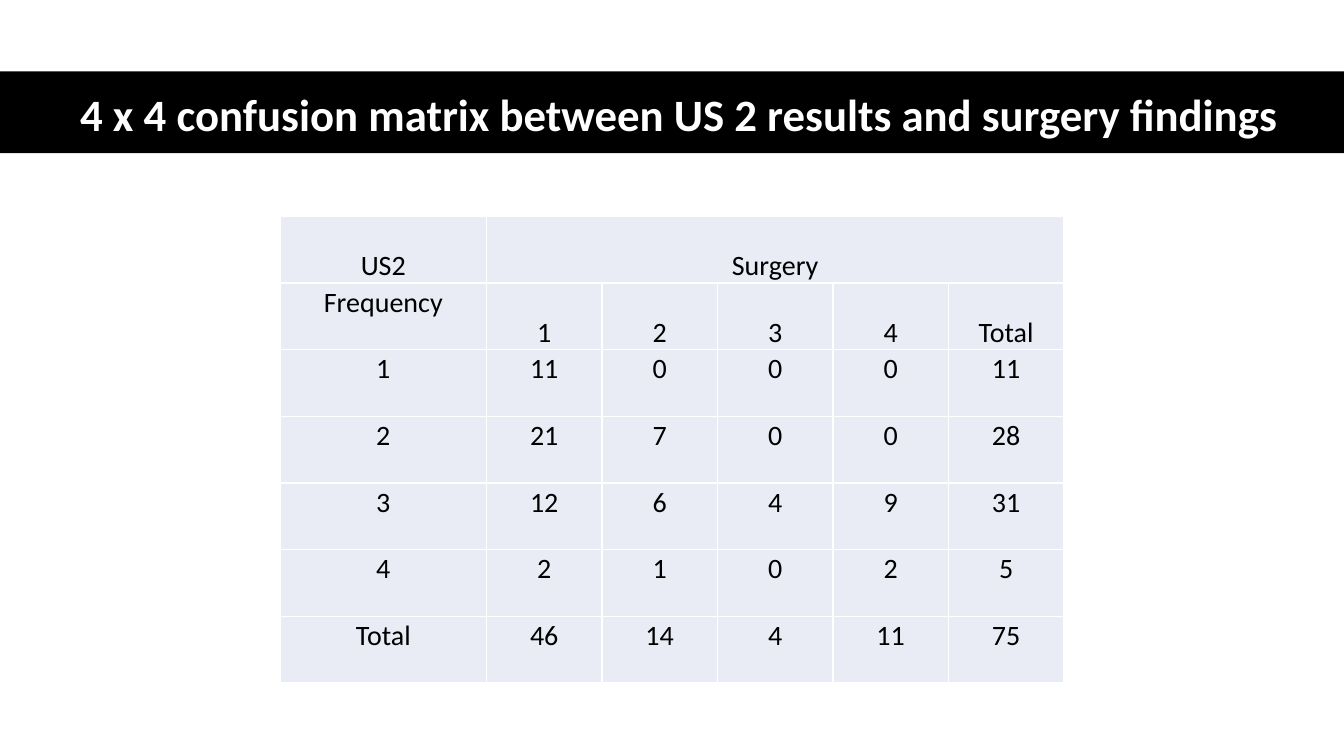
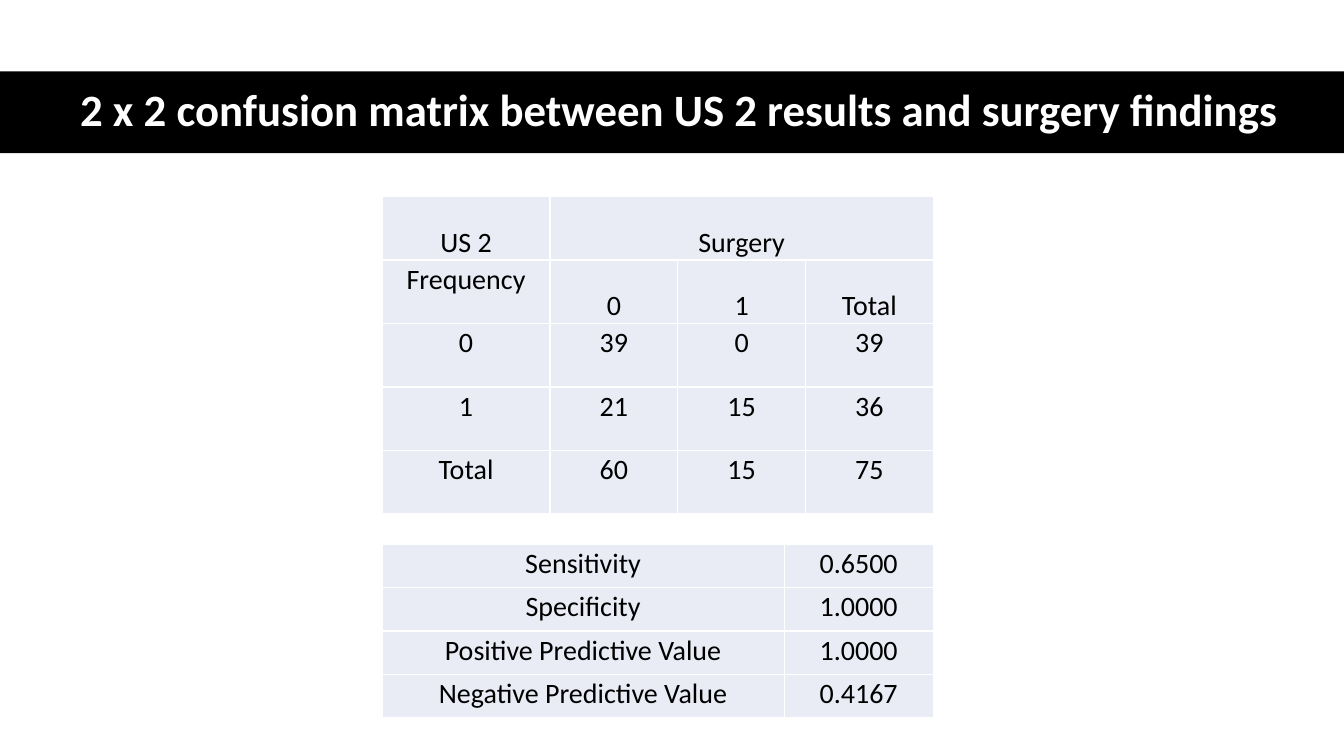
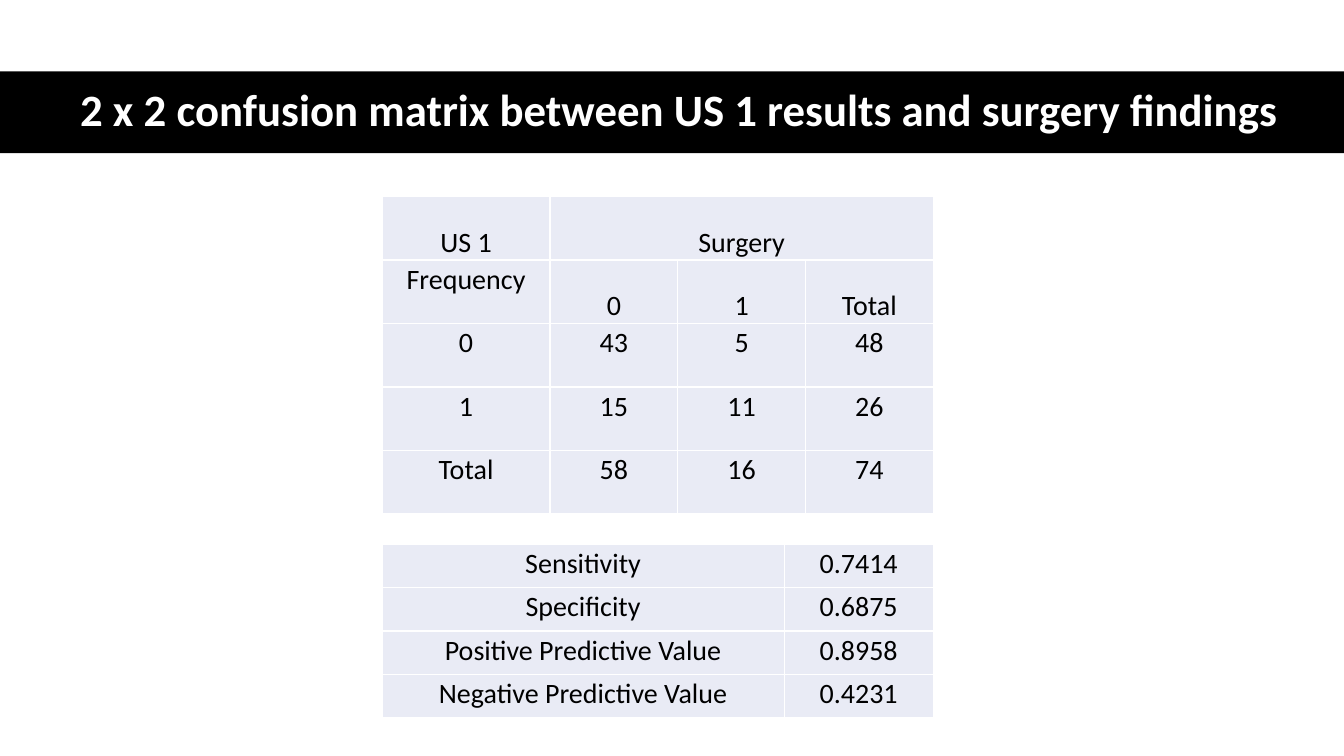
from lxml import etree
from pptx import Presentation
from pptx import util as u
from pptx.dml.color import RGBColor
from pptx.enum import shapes, text
from pptx.oxml import ns

COLOURS = {"band": "000000", "title": "FFFFFF", "cell": "E9EBF5",
           "border": "FFFFFF", "ink": "000000"}
FONT = "Calibri"
SLIDE_WIDTH, SLIDE_HEIGHT = u.Cm(33.87), u.Cm(19.05)
BORDER_WIDTH = u.Pt(1)
TITLE_ONLY = 5
METRICS = ["Sensitivity", "Specificity",
           "Positive Predictive Value", "Negative Predictive Value"]


def colour(name):
    return RGBColor.from_string(COLOURS[name])


def write(para, content, size, ink, bold=False, line_spacing=1.07, gap=3):
    para.alignment = text.PP_ALIGN.CENTER
    para.line_spacing = line_spacing
    para.space_before = para.space_after = u.Pt(gap)
    span = para.add_run()
    span.text = content
    span.font.name = FONT
    span.font.size = u.Pt(size)
    span.font.bold = bold
    span.font.color.rgb = colour(ink)


def add_titled_page(deck, content, **spacing):
    """Add a page whose title sits on a full-width band."""
    page = deck.slides.add_slide(deck.slide_layouts[TITLE_ONLY])
    title = page.shapes.title
    title.left, title.top = u.Cm(1.55), u.Cm(1.78)
    title.width, title.height = u.Cm(31.14), u.Cm(2.06)
    frame = title.text_frame
    frame.word_wrap = True
    frame.auto_size = text.MSO_AUTO_SIZE.NONE
    frame.vertical_anchor = text.MSO_ANCHOR.MIDDLE
    write(frame.paragraphs[0], content, 32, "title", bold=True, **spacing)

    band = page.shapes.add_shape(shapes.MSO_SHAPE.RECTANGLE, 0, u.Cm(1.8),
                                 SLIDE_WIDTH, u.Cm(2.06))
    band.shadow.inherit = False
    band.fill.solid()
    band.fill.fore_color.rgb = colour("band")
    band.line.fill.background()
    title.element.addprevious(band.element)
    return page


def add_borders(cell):
    """Insert the four border lines ahead of the cell's fill, as the schema asks."""
    properties = cell._tc.get_or_add_tcPr()
    for position, side in enumerate(("lnL", "lnR", "lnT", "lnB")):
        line = etree.Element(ns.qn(f"a:{side}"), w=str(BORDER_WIDTH))
        fill = etree.SubElement(line, ns.qn("a:solidFill"))
        etree.SubElement(fill, ns.qn("a:srgbClr"), val=COLOURS["border"])
        properties.insert(position, line)


def format_cell(cell, anchor):
    cell.fill.solid()
    cell.fill.fore_color.rgb = colour("cell")
    cell.margin_left = cell.margin_right = u.Cm(0.1)
    cell.margin_top = cell.margin_bottom = 0
    cell.vertical_anchor = anchor
    add_borders(cell)


def add_grid(page, rows, left, top, widths, row_height, is_low=None):
    """Add a table; is_low(row, column) tells which cells are anchored at the bottom."""
    frame = page.shapes.add_table(
        len(rows), len(widths), u.Cm(left), u.Cm(top),
        u.Cm(sum(widths)), u.Cm(row_height * len(rows)))
    table = frame.table
    table.first_row = table.horz_banding = False
    for column, width in zip(table.columns, widths):
        column.width = u.Cm(width)
    for r, values in enumerate(rows):
        table.rows[r].height = u.Cm(row_height)
        for c in range(len(widths)):
            cell = table.cell(r, c)
            low = is_low is not None and is_low(r, c)
            format_cell(cell, text.MSO_ANCHOR.BOTTOM if low else text.MSO_ANCHOR.TOP)
            if c < len(values):
                write(cell.text_frame.paragraphs[0], values[c], 20, "ink")
    return table


def add_confusion_matrix(page, test, labels, counts, left, top, widths, row_height):
    """Add test results (rows) against surgery findings (columns), with totals."""
    headings = labels + ["Total"]
    rows = [[test, "Surgery"], ["Frequency"] + headings]
    rows += [[heading] + [str(count) for count in line]
             for heading, line in zip(headings, counts)]
    table = add_grid(page, rows, left, top, widths, row_height,
                     lambda r, c: r == 0 or (r == 1 and c > 0))
    table.cell(0, 1).merge(table.cell(0, len(widths) - 1))


def add_binary_page(deck, test, counts, scores):
    """Add a page with a 2 x 2 matrix above its accuracy metrics."""
    page = add_titled_page(
        deck, f"2 x 2 confusion matrix between {test} results and surgery findings",
        line_spacing=0.9, gap=0)
    add_grid(page, list(zip(METRICS, scores)), 9.63, 13.72, [10.13, 3.76], 1.09)
    add_confusion_matrix(page, test, ["0", "1"], counts,
                         9.63, 4.95, [4.23] + [3.22] * 3, 1.6)


def main():
    deck = Presentation()
    deck.slide_width, deck.slide_height = SLIDE_WIDTH, SLIDE_HEIGHT

    page = add_titled_page(
        deck, "4 x 4 confusion matrix between US 2 results and surgery findings")
    add_confusion_matrix(
        page, "US2", ["1", "2", "3", "4"],
        [[11, 0, 0, 0, 11], [21, 7, 0, 0, 28], [12, 6, 4, 9, 31],
         [2, 1, 0, 2, 5], [46, 14, 4, 11, 75]],
        7.06, 5.45, [5.2] + [2.91] * 5, 1.68)

    add_binary_page(deck, "US 2", [[39, 0, 39], [21, 15, 36], [60, 15, 75]],
                    ["0.6500", "1.0000", "1.0000", "0.4167"])
    add_binary_page(deck, "US 1", [[43, 5, 48], [15, 11, 26], [58, 16, 74]],
                    ["0.7414", "0.6875", "0.8958", "0.4231"])
    deck.save("out.pptx")


if __name__ == "__main__":
    main()
